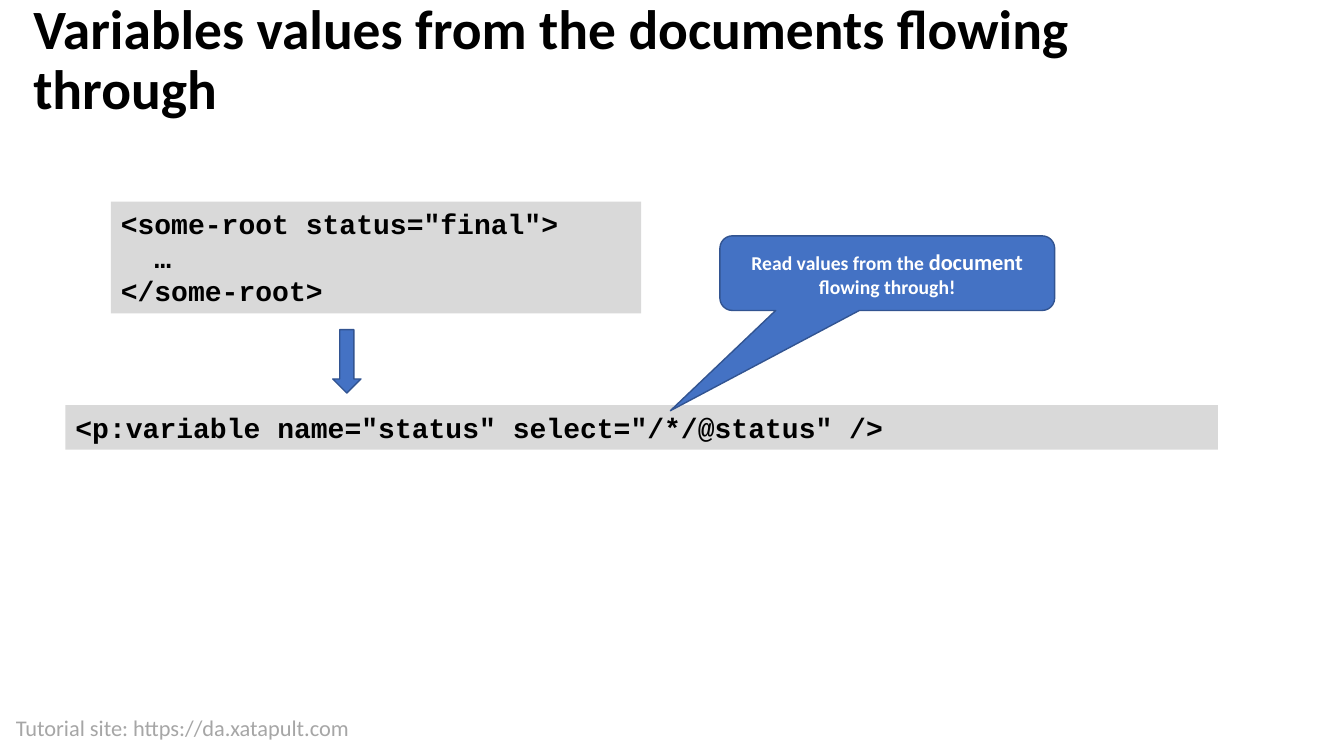
"""Build the slide on reading variable values from documents."""
from pptx import Presentation
from pptx.dml.color import RGBColor
from pptx.enum.shapes import MSO_SHAPE
from pptx.enum.text import MSO_ANCHOR, MSO_AUTO_SIZE, PP_ALIGN
from pptx.util import Inches, Pt

BLUE = "4472C4"
OUTLINE = "325491"
GREY = "D9D9D9"


def paint(target, color):
    target.solid()
    target.fore_color.rgb = RGBColor.from_string(color)


def style(span, size, color, name="Calibri", bold=True):
    span.font.size = Pt(size)
    span.font.name = name
    span.font.bold = bold
    paint(span.font.fill, color)


def add_title(page, text):
    title = page.shapes.title
    title.left, title.top = Inches(0.23), Inches(0.13)
    title.width, title.height = Inches(12.38), Inches(0.96)
    frame = title.text_frame
    frame.text = text
    frame.word_wrap = True
    frame.auto_size = MSO_AUTO_SIZE.NONE
    frame.vertical_anchor = MSO_ANCHOR.MIDDLE
    para = frame.paragraphs[0]
    para.alignment = PP_ALIGN.LEFT
    para.line_spacing = 0.9
    style(para.runs[0], 39.6, "000000")


def add_block(page, kind, left, top, width, height, fill, outline=None):
    block = page.shapes.add_shape(
        kind, Inches(left), Inches(top), Inches(width), Inches(height))
    block.shadow.inherit = False
    paint(block.fill, fill)
    if outline:
        paint(block.line.fill, outline)
        block.line.width = Pt(1)
    else:
        block.line.fill.background()
    return block


def add_code(page, left, top, width, height, code):
    block = add_block(page, MSO_SHAPE.RECTANGLE, left, top, width, height, GREY)
    frame = block.text_frame
    frame.text = code
    frame.word_wrap = True
    frame.vertical_anchor = MSO_ANCHOR.TOP
    for para in frame.paragraphs:
        para.alignment = PP_ALIGN.LEFT
        style(para.runs[0], 20, "000000", "Courier New")


def add_callout(page, left, top, width, height, pieces):
    callout = add_block(page, MSO_SHAPE.ROUNDED_RECTANGULAR_CALLOUT,
                        left, top, width, height, BLUE, OUTLINE)
    for index, value in enumerate((-0.648, 1.844, 0.167)):
        callout.adjustments[index] = value
    frame = callout.text_frame
    frame.word_wrap = True
    frame.vertical_anchor = MSO_ANCHOR.MIDDLE
    para = frame.paragraphs[0]
    para.alignment = PP_ALIGN.CENTER
    for text, size in pieces:
        span = para.add_run()
        span.text = text
        style(span, size, "FFFFFF")


def add_footer(page, text):
    box = page.shapes.add_textbox(
        Inches(0.06), Inches(7.04), Inches(4.41), Inches(0.37))
    box.text_frame.text = text
    box.text_frame.word_wrap = True
    style(box.text_frame.paragraphs[0].runs[0], 16, "A6A6A6", bold=False)


def main():
    deck = Presentation()
    deck.slide_width, deck.slide_height = Inches(13.33), Inches(7.5)
    page = deck.slides.add_slide(deck.slide_layouts[5])
    add_footer(page, "Tutorial site: https://da.xatapult.com")
    add_title(page, "Variables values from the documents flowing through")
    add_code(page, 0.65, 4.02, 11.43, 0.44,
             '<p:variable name="status" select="/*/@status" />')
    add_callout(page, 7.14, 2.34, 3.32, 0.74,
                [("Read values from the ", 14), ("document", 16),
                 (" flowing through!", 14)])
    add_code(page, 1.1, 2, 5.26, 1.11,
             '<some-root status="final">\n  …\n</some-root>')
    add_block(page, MSO_SHAPE.DOWN_ARROW, 3.3, 3.27, 0.28, 0.63, BLUE, OUTLINE)
    deck.save("out.pptx")


if __name__ == "__main__":
    main()
